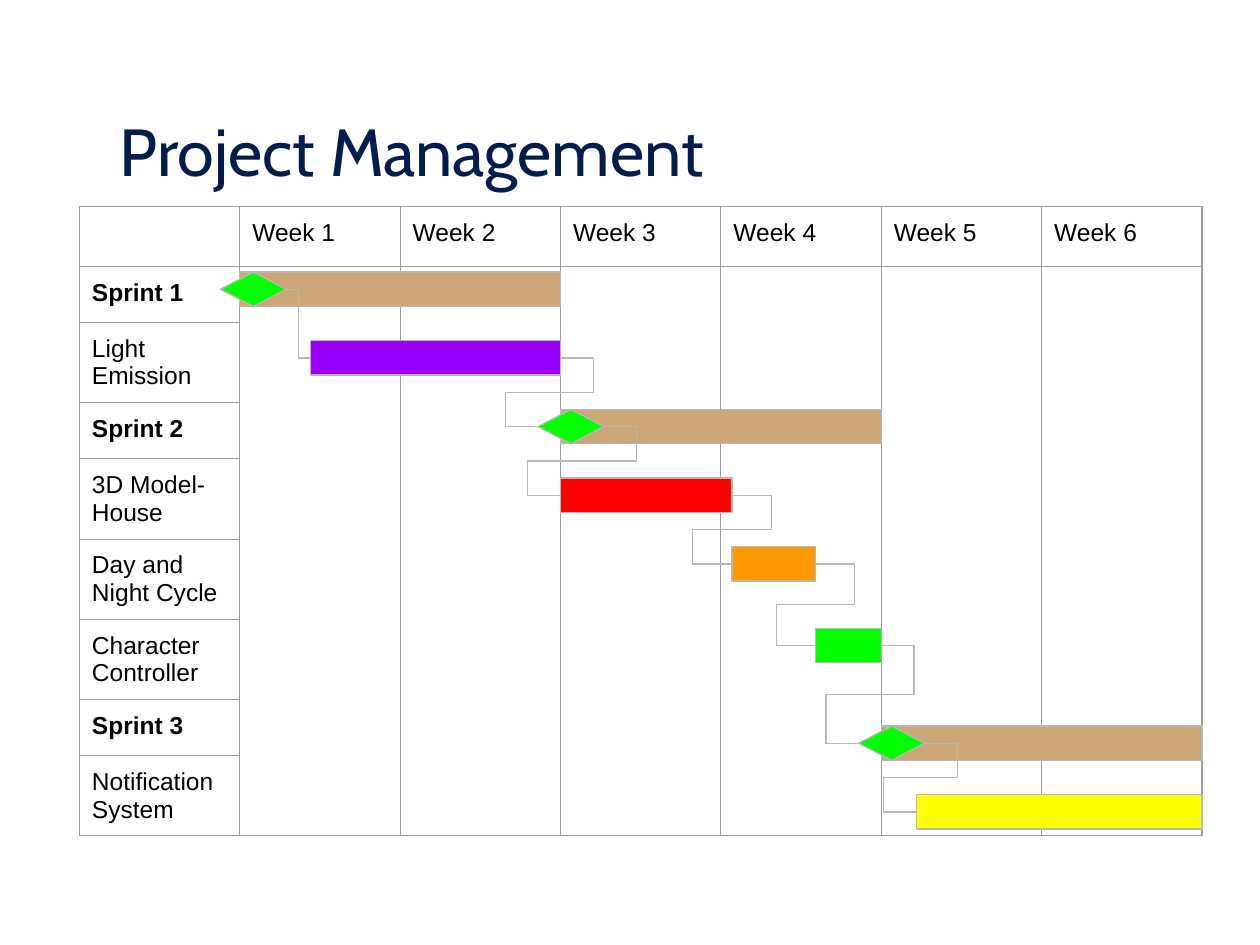
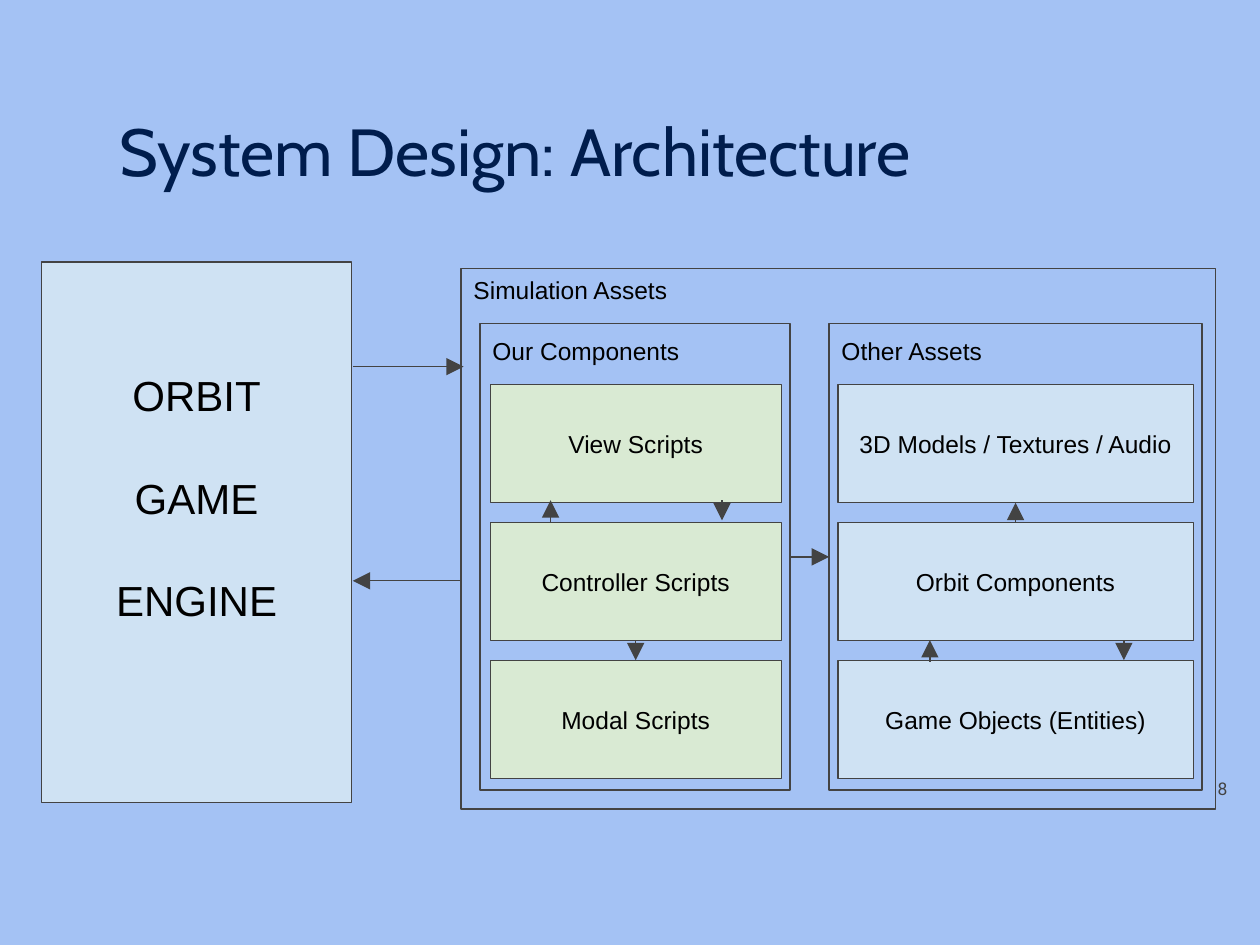
from dataclasses import dataclass
from typing import Optional

from lxml.etree import SubElement
from pptx import Presentation
from pptx.dml.color import RGBColor
from pptx.enum.shapes import MSO_CONNECTOR as Connector, MSO_SHAPE as Preset
from pptx.enum.text import MSO_ANCHOR as Anchor, MSO_AUTO_SIZE as AutoSize, PP_ALIGN as Align
from pptx.oxml.ns import qn
from pptx.util import Emu, Inches, Pt

COLORS = {
    "title": "001D4D", "text": "000000", "white": "FFFFFF", "sky": "A4C2F4",
    "ice": "CFE2F3", "mint": "D9EAD3", "charcoal": "434343", "grid": "9E9E9E",
    "silver": "B7B7B7", "tan": "CCA677", "yellow": "FFFF00", "purple": "9900FF",
    "red": "FF0000", "orange": "FF9900", "green": "00FF00",
}
SLIDE_WIDTH, SLIDE_HEIGHT = Inches(10), Inches(7.5)
GRID_COLUMNS, GRID_ROWS = 100, 75
LINE_WIDTH = Pt(0.75)
TOP, LEFT, BOTTOM, RIGHT = range(4)

TABLE_LEFT, TABLE_TOP, WEEK = 6.3, 16.4, 89.1 / 7
WEEKS_LEFT = TABLE_LEFT + WEEK
HEADER_ROW, SHORT_ROW, TALL_ROW = 4.76, 4.44, 6.36
LANES_TOP, LANE = 21.6, 21.8 / 4
BAR_HEIGHT = LANE / 2
ELBOW_REACH = Inches(0.26)


@dataclass(frozen=True)
class Box:
    """A place on the slide grid, in columns and rows."""
    left: float
    top: float
    width: float
    height: float


@dataclass(frozen=True)
class TextStyle:
    """The look of one kind of text."""
    size: float = 14
    font: str = "Arial"
    color: str = "text"
    align: Align = Align.LEFT
    anchor: Anchor = Anchor.TOP
    bold: bool = False
    gap: float = 0


@dataclass(frozen=True)
class Bar:
    """A bar or milestone, in weeks and lanes."""
    name: str
    start: float
    weeks: float
    lane: float
    color: str
    preset: Preset = Preset.RECTANGLE


@dataclass(frozen=True)
class Arrow:
    """A straight arrow between two grid points."""
    x1: float
    y1: float
    x2: float
    y2: float


TITLE = TextStyle(38, "Cabin", "title", anchor=Anchor.BOTTOM)
LABEL = TextStyle()
SPRINT = TextStyle(bold=True)
TILE = TextStyle(align=Align.CENTER, anchor=Anchor.MIDDLE)
ENGINE = TextStyle(24, align=Align.CENTER, gap=30)
PAGE_NUMBER = TextStyle(10, "Roboto", "charcoal", Align.RIGHT, Anchor.MIDDLE)

TASKS = ["Sprint 1", "Light Emission", "Sprint 2", "3D Model- House", "Day and Night Cycle",
         "Character Controller", "Sprint 3", "Notification System"]
BARS = [
    Bar("sprint 1", 0, 2, 0, "tan", Preset.FLOWCHART_PROCESS),
    Bar("sprint 2", 2, 2, 2, "tan"),
    Bar("sprint 3", 4, 2, 6.61, "tan"),
    Bar("notification", 4.22, 1.78, 7.61, "yellow"),
    Bar("light", 0.44, 1.56, 1, "purple"),
    Bar("house", 2, 1.07, 3, "red"),
    Bar("day and night", 3.07, 0.52, 4, "orange"),
    Bar("character", 3.59, 0.41, 5.19, "green"),
    Bar("start 1", -0.12, 0.41, 0, "green", Preset.FLOWCHART_DECISION),
    Bar("start 2", 1.86, 0.41, 2, "green", Preset.FLOWCHART_DECISION),
    Bar("start 3", 3.86, 0.41, 6.61, "green", Preset.FLOWCHART_DECISION),
]
SEQUENCE = ["start 1", "light", "start 2", "house", "day and night", "character",
            "start 3", "notification"]

TILES_TOP, TILE_STEP, TILE_HEIGHT = 30.5, 10.95, 9.4
SCRIPTS = ["View Scripts", "Controller Scripts", "Modal Scripts"]
ASSETS = ["3D Models / Textures / Audio", "Orbit Components", "Game Objects (Entities)"]
ARROWS = [
    Arrow(28, 29.1, 36.8, 29.1), Arrow(36.6, 46.1, 28, 46.1),
    Arrow(57.3, 39.7, 57.3, 41.3), Arrow(43.7, 41.5, 43.7, 39.7),
    Arrow(89.2, 50.8, 89.2, 52.4), Arrow(73.8, 52.5, 73.8, 50.8),
]


def columns(count: float) -> Emu:
    """Turn grid columns into a length."""
    return Emu(round(SLIDE_WIDTH * count / GRID_COLUMNS))


def rows(count: float) -> Emu:
    """Turn grid rows into a length."""
    return Emu(round(SLIDE_HEIGHT * count / GRID_ROWS))


def place(box: Box) -> tuple:
    """Give the left, top, width and height of a box."""
    return columns(box.left), rows(box.top), columns(box.width), rows(box.height)


def rgb(name: str) -> RGBColor:
    """Look up a named colour."""
    return RGBColor.from_string(COLORS[name])


def write(frame, lines: list, style: TextStyle) -> None:
    """Write one paragraph for each line."""
    for index, line in enumerate(lines):
        paragraph = frame.add_paragraph() if index else frame.paragraphs[0]
        paragraph.alignment = style.align
        paragraph.space_before = Pt(style.gap if index else 0)
        run = paragraph.add_run()
        run.text = line
        run.font.size, run.font.name, run.font.bold = Pt(style.size), style.font, style.bold
        run.font.color.rgb = rgb(style.color)


def fill_frame(frame, lines: list, style: TextStyle, margin: float = 0.1) -> None:
    """Set up a text frame and write its lines."""
    frame.word_wrap, frame.auto_size = True, AutoSize.NONE
    frame.vertical_anchor = style.anchor
    frame.margin_left = frame.margin_right = Inches(0.1)
    frame.margin_top = frame.margin_bottom = Inches(margin)
    write(frame, lines, style)


def add_text(slide, box: Box, lines: list, style: TextStyle) -> None:
    """Add a wrapped text box."""
    fill_frame(slide.shapes.add_textbox(*place(box)).text_frame, lines, style)


def add_block(slide, box: Box, fill: Optional[str], line: str = "charcoal",
              preset: Preset = Preset.RECTANGLE, text: str = ""):
    """Add an outlined shape, with centred text if there is any."""
    shape = slide.shapes.add_shape(preset, *place(box))
    shape.shadow.inherit = False
    if fill:
        shape.fill.solid()
        shape.fill.fore_color.rgb = rgb(fill)
    else:
        shape.fill.background()
    shape.line.color.rgb, shape.line.width = rgb(line), LINE_WIDTH
    if text:
        fill_frame(shape.text_frame, [text], TILE)
    return shape


def style_connector(connector, color: str, arrow: bool = False) -> None:
    """Colour a connector, drop its shadow and add an arrowhead if asked."""
    connector.line.color.rgb, connector.line.width = rgb(color), LINE_WIDTH
    properties = connector._element.spPr
    if arrow:
        SubElement(properties.find(qn("a:ln")), qn("a:tailEnd"), type="triangle", w="lg", len="lg")
    SubElement(properties, qn("a:effectLst"))


def add_arrow(slide, arrow: Arrow) -> None:
    """Add a free straight arrow."""
    connector = slide.shapes.add_connector(
        Connector.STRAIGHT, columns(arrow.x1), rows(arrow.y1), columns(arrow.x2), rows(arrow.y2))
    style_connector(connector, "charcoal", arrow=True)


def join(slide, kind: Connector, first, first_side: int, second, second_side: int):
    """Connect the sides of two shapes."""
    connector = slide.shapes.add_connector(kind, 0, 0, 0, 0)
    connector.begin_connect(first, first_side)
    connector.end_connect(second, second_side)
    return connector


def add_elbow(slide, first, second) -> None:
    """Lead from the right of one bar to the left of the next."""
    connector = join(slide, Connector.ELBOW, first, RIGHT, second, LEFT)
    gap = second.left - first.left - first.width
    if gap < Inches(0.1):
        connector.width = Emu(max(abs(gap), 600))
        reach = ELBOW_REACH / connector.width * (-1 if gap < 0 else 1)
        geometry = connector._element.spPr.find(qn("a:prstGeom"))
        geometry.set("prst", "bentConnector5")
        guides = geometry.find(qn("a:avLst"))
        for index, share in enumerate((reach, 0.5, 1 - reach), 1):
            SubElement(guides, qn("a:gd"), name=f"adj{index}", fmla=f"val {round(share * 100000)}")
    style_connector(connector, "silver")


def add_slide(presentation, title: str, background: str):
    """Add a title-only slide with its background and title."""
    slide = presentation.slides.add_slide(presentation.slide_layouts[5])
    slide.background.fill.solid()
    slide.background.fill.fore_color.rgb = rgb(background)
    shape = slide.shapes.title
    shape.left, shape.top, shape.width, shape.height = place(Box(8.5, 4.2, 82.9, 11.4))
    fill_frame(shape.text_frame, [title], TITLE, margin=0.05)
    return slide


def add_borders(cell) -> None:
    """Clear the fill of a cell and draw its four borders."""
    cell.fill.background()
    properties = cell._tc.get_or_add_tcPr()
    for index, side in enumerate(("lnL", "lnR", "lnT", "lnB")):
        border = SubElement(properties, qn(f"a:{side}"), w=str(LINE_WIDTH))
        SubElement(SubElement(border, qn("a:solidFill")), qn("a:srgbClr"), val=COLORS["grid"])
        properties.insert(index, border)


def write_cell(cell, text: str, style: TextStyle) -> None:
    """Write a table cell."""
    cell.margin_left = cell.margin_right = cell.margin_top = cell.margin_bottom = Inches(0.1)
    write(cell.text_frame, [text], style)


def add_schedule(slide) -> None:
    """Add the table of tasks and weeks."""
    heights = [HEADER_ROW] + [SHORT_ROW if task.startswith("Sprint") else TALL_ROW
                              for task in TASKS]
    box = Box(TABLE_LEFT, TABLE_TOP, 7 * WEEK, sum(heights))
    table = slide.shapes.add_table(len(heights), 7, *place(box)).table
    table.first_row = table.horz_banding = False
    for column in table.columns:
        column.width = columns(WEEK)
    for row, height in zip(table.rows, heights):
        row.height = rows(height)
    for cell in table.iter_cells():
        add_borders(cell)
    for week in range(1, 7):
        write_cell(table.cell(0, week), f"Week {week}", LABEL)
        table.cell(1, week).merge(table.cell(len(TASKS), week))
    for index, task in enumerate(TASKS, 1):
        write_cell(table.cell(index, 0), task, SPRINT if task.startswith("Sprint") else LABEL)


def build_schedule_slide(presentation) -> None:
    """Build the project schedule."""
    slide = add_slide(presentation, "Project Management", "white")
    add_schedule(slide)
    shapes = {}
    for bar in BARS:
        box = Box(WEEKS_LEFT + bar.start * WEEK, LANES_TOP + bar.lane * LANE,
                  bar.weeks * WEEK, BAR_HEIGHT)
        shapes[bar.name] = add_block(slide, box, bar.color, "silver", bar.preset)
    for first, second in zip(SEQUENCE, SEQUENCE[1:]):
        add_elbow(slide, shapes[first], shapes[second])


def add_stack(slide, left: float, width: float, names: list, fill: str) -> list:
    """Add a column of equal tiles."""
    return [add_block(slide, Box(left, TILES_TOP + index * TILE_STEP, width, TILE_HEIGHT),
                      fill, text=name) for index, name in enumerate(names)]


def build_architecture_slide(presentation) -> None:
    """Build the architecture diagram."""
    slide = add_slide(presentation, "System Design: Architecture", "sky")
    add_text(slide, Box(92.4, 60.4, 6, 4.3), ["8"], PAGE_NUMBER)
    add_block(slide, Box(3.3, 20.8, 24.6, 42.9), "ice")
    add_block(slide, Box(36.6, 21.3, 59.9, 42.9), None)
    add_text(slide, Box(3.7, 28.3, 23.8, 25.4), ["ORBIT", "GAME", "ENGINE"], ENGINE)
    add_text(slide, Box(36.6, 20.8, 25.3, 3.4), ["Simulation Assets"], LABEL)
    groups = []
    for left, width, name in ((38.1, 24.6, "Our Components"), (65.8, 29.6, "Other Assets")):
        groups.append(add_block(slide, Box(left, 25.7, width, 37), None))
        add_text(slide, Box(left, 25.7, width, 3.4), [name], LABEL)
    scripts = add_stack(slide, 38.9, 23.1, SCRIPTS, "mint")
    assets = add_stack(slide, 66.5, 28.2, ASSETS, "ice")
    for arrow in ARROWS:
        add_arrow(slide, arrow)
    for first, first_side, second, second_side in (
            (scripts[1], BOTTOM, scripts[2], TOP),
            (assets[1], TOP, assets[0], BOTTOM),
            (groups[0], RIGHT, groups[1], LEFT)):
        connector = join(slide, Connector.STRAIGHT, first, first_side, second, second_side)
        style_connector(connector, "charcoal", arrow=True)


def main() -> None:
    """Build and save the presentation."""
    presentation = Presentation()
    presentation.slide_width, presentation.slide_height = SLIDE_WIDTH, SLIDE_HEIGHT
    build_schedule_slide(presentation)
    build_architecture_slide(presentation)
    presentation.save("out.pptx")


if __name__ == "__main__":
    main()
